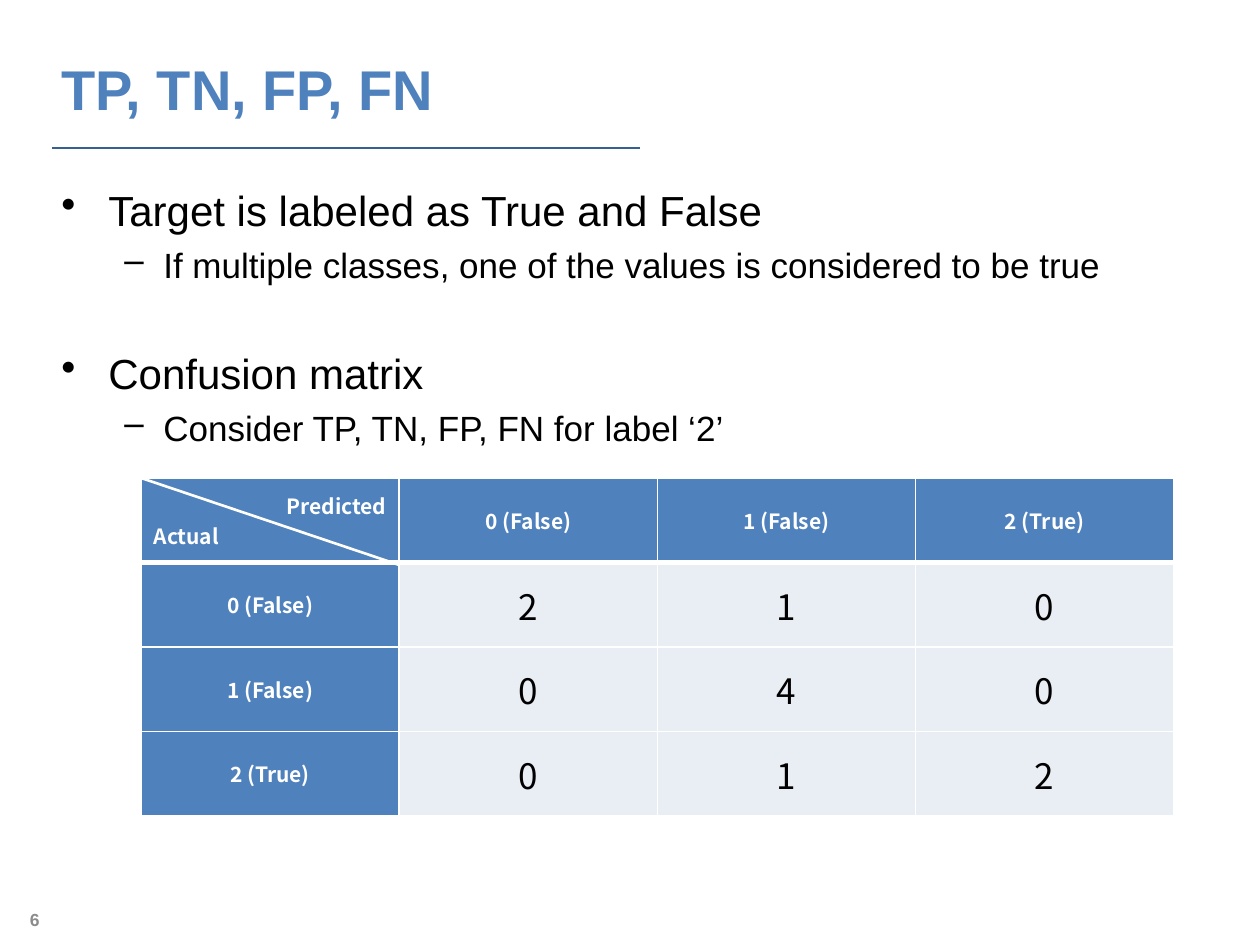
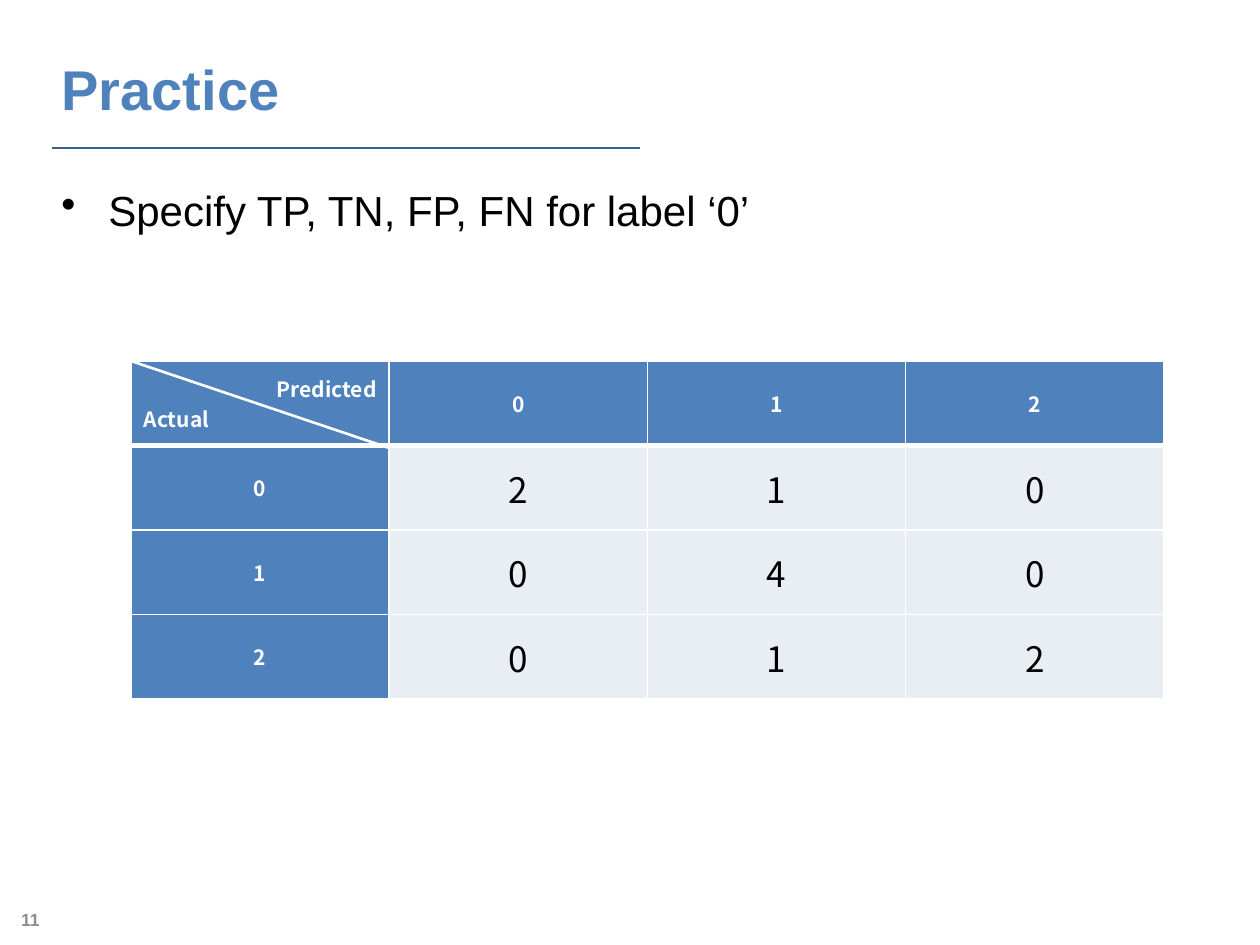
"""Build two slides on confusion matrices, each with bullets and a labelled table."""
import dataclasses
import typing

import lxml.etree
import pptx
import pptx.dml.color
import pptx.enum.shapes
import pptx.enum.text
import pptx.oxml.ns
import pptx.presentation
import pptx.shapes.connector
import pptx.slide
import pptx.table
import pptx.text.text
import pptx.util

EMU_PER_PIXEL = 914400 / 126
COLOURS = {
    "accent": "4F81BD",
    "rule": "376092",
    "band": "E9EDF4",
    "number": "8C8C8C",
    "text": "000000",
    "white": "FFFFFF",
}
ALIGN = pptx.enum.text.PP_ALIGN
MIDDLE = pptx.enum.text.MSO_ANCHOR.MIDDLE
TOP = pptx.enum.text.MSO_ANCHOR.TOP
TABLE_FONT = "Noto Sans CJK KR"


@dataclasses.dataclass(frozen=True)
class TextStyle:
    size: int
    colour: str
    bold: bool = False
    font: str = "Arial"
    align: ALIGN = ALIGN.LEFT


@dataclasses.dataclass(frozen=True)
class Level:
    mark: str
    margin: int
    hanging: int
    style: TextStyle


@dataclasses.dataclass(frozen=True)
class Bullet:
    text: str
    level: int
    before: float


@dataclasses.dataclass(frozen=True)
class Frame:
    left: int
    top: int
    width: int
    height: int


@dataclasses.dataclass(frozen=True)
class MatrixSlide:
    title: str
    number: str
    bullets: tuple[Bullet, ...]
    labels: tuple[str, ...]
    table_left: int
    table_top: int


TITLE = TextStyle(32, "accent", bold=True)
NUMBER = TextStyle(10, "number", bold=True, align=ALIGN.RIGHT)
HEADING = TextStyle(12, "white", bold=True, font=TABLE_FONT, align=ALIGN.CENTER)
VALUE = TextStyle(20, "text", font=TABLE_FONT, align=ALIGN.CENTER)
LEVELS = (
    Level("•", 47, 47, TextStyle(24, "text")),
    Level("–", 102, 39, TextStyle(20, "text")),
)
TITLE_FRAME = Frame(49, 39, 1162, 98)
BODY_FRAME = Frame(49, 178, 1162, 699)
NUMBER_FRAME = Frame(0, 895, 52, 50)
TABLE_SIZE = (1033, 338)
COUNTS = ((2, 1, 0), (0, 4, 0), (0, 1, 2))
SLIDES = (
    MatrixSlide(
        "TP, TN, FP, FN",
        "6",
        (
            Bullet("Target is labeled as True and False", 0, 2),
            Bullet("If multiple classes, one of the values is considered to be true", 1, 5),
            Bullet("Confusion matrix", 0, 35.5),
            Bullet("Consider TP, TN, FP, FN for label ‘2’", 1, 5),
        ),
        ("0 (False)", "1 (False)", "2 (True)"),
        141,
        478,
    ),
    MatrixSlide(
        "Practice",
        "11",
        (Bullet("Specify TP, TN, FP, FN for label ‘0’", 0, 2),),
        ("0", "1", "2"),
        131,
        361,
    ),
)


def emu(pixels: float) -> pptx.util.Emu:
    """Turn pixels into EMU."""
    return pptx.util.Emu(round(pixels * EMU_PER_PIXEL))


def rgb(name: str) -> pptx.dml.color.RGBColor:
    """Look up a named colour."""
    return pptx.dml.color.RGBColor.from_string(COLOURS[name])


def apply(target: typing.Any, values: dict[str, typing.Any]) -> None:
    """Set each named attribute on an object."""
    for name, value in values.items():
        setattr(target, name, value)


def place(frame: Frame) -> dict[str, pptx.util.Emu]:
    """Give a frame's position and size in EMU."""
    return {name: emu(length) for name, length in dataclasses.asdict(frame).items()}


def write(para: pptx.text.text._Paragraph, text: str, style: TextStyle) -> None:
    """Write one styled span into a paragraph."""
    para.alignment = style.align
    span = para.add_run()
    span.text = text
    apply(span.font, {"size": pptx.util.Pt(style.size), "bold": style.bold, "name": style.font})
    span.font.color.rgb = rgb(style.colour)


def add_text_box(page: pptx.slide.Slide, frame: Frame, anchor: typing.Any) -> pptx.text.text.TextFrame:
    """Add a wrapping text box and return its text frame."""
    box = page.shapes.add_textbox(**place(frame))
    apply(box.text_frame, {"word_wrap": True, "vertical_anchor": anchor})
    return box.text_frame


def add_line(
    page: pptx.slide.Slide, start: tuple[int, int], end: tuple[float, float], colour: str, width: float
) -> None:
    """Draw a straight line without a shadow."""
    line = page.shapes.add_connector(
        pptx.enum.shapes.MSO_CONNECTOR.STRAIGHT, *map(emu, start), *map(emu, end)
    )
    line.line.color.rgb = rgb(colour)
    line.line.width = pptx.util.Pt(width)
    lxml.etree.SubElement(line._element.spPr, pptx.oxml.ns.qn("a:effectLst"))


def add_bullets(page: pptx.slide.Slide, bullets: tuple[Bullet, ...]) -> None:
    """Write the bulleted body text."""
    body = add_text_box(page, BODY_FRAME, TOP)
    for index, bullet in enumerate(bullets):
        para = body.add_paragraph() if index else body.paragraphs[0]
        level = LEVELS[bullet.level]
        write(para, bullet.text, level.style)
        apply(para, {"level": bullet.level, "space_before": pptx.util.Pt(bullet.before)})
        properties = para._p.get_or_add_pPr()
        properties.set("marL", str(emu(level.margin)))
        properties.set("indent", str(-emu(level.hanging)))
        mark = lxml.etree.SubElement(properties, pptx.oxml.ns.qn("a:buChar"))
        mark.set("char", level.mark)


def set_borders(cell: pptx.table._Cell, top: float, bottom: float) -> None:
    """Give a cell white borders."""
    properties = cell._tc.get_or_add_tcPr()
    widths = {"a:lnL": 1, "a:lnR": 1, "a:lnT": top, "a:lnB": bottom}
    for index, (tag, width) in enumerate(widths.items()):
        border = lxml.etree.Element(pptx.oxml.ns.qn(tag), w=str(pptx.util.Pt(width)))
        fill = lxml.etree.SubElement(border, pptx.oxml.ns.qn("a:solidFill"))
        lxml.etree.SubElement(fill, pptx.oxml.ns.qn("a:srgbClr"), val=COLOURS["white"])
        properties.insert(index, border)


def add_matrix(page: pptx.slide.Slide, labels: tuple[str, ...], left: int, top: int) -> None:
    """Draw the confusion matrix with its split corner cell."""
    size = len(labels) + 1
    frame = Frame(left, top, *TABLE_SIZE)
    table = page.shapes.add_table(size, size, **place(frame)).table
    for column in table.columns:
        column.width = emu(frame.width / size)
    for row in table.rows:
        row.height = emu(frame.height / size)
    rows = [("", *labels)] + [(label, *counts) for label, counts in zip(labels, COUNTS)]
    for i, entries in enumerate(rows):
        for j, entry in enumerate(entries):
            cell = table.cell(i, j)
            is_heading = i == 0 or j == 0
            cell.vertical_anchor = MIDDLE
            cell.fill.solid()
            cell.fill.fore_color.rgb = rgb("accent" if is_heading else "band")
            set_borders(cell, top=3 if i == 1 else 1, bottom=3 if i == 0 else 1)
            if i or j:
                write(cell.text_frame.paragraphs[0], str(entry), HEADING if is_heading else VALUE)
    corner = table.cell(0, 0).text_frame
    write(corner.paragraphs[0], "Predicted", dataclasses.replace(HEADING, align=ALIGN.RIGHT))
    write(corner.add_paragraph(), "Actual", dataclasses.replace(HEADING, align=ALIGN.LEFT))
    add_line(page, (left, top), (left + frame.width / size, top + 87), "white", 1.5)


def add_slide(deck: pptx.presentation.Presentation, content: MatrixSlide) -> None:
    """Build one slide from its content."""
    page = deck.slides.add_slide(deck.slide_layouts.get_by_name("Title Only"))
    add_line(page, (52, 148), (640, 148), "rule", 0.75)
    title = page.shapes.title
    apply(title, place(TITLE_FRAME))
    apply(title.text_frame, {"word_wrap": True, "vertical_anchor": MIDDLE})
    write(title.text_frame.paragraphs[0], content.title, TITLE)
    add_bullets(page, content.bullets)
    number = add_text_box(page, NUMBER_FRAME, MIDDLE)
    write(number.paragraphs[0], content.number, NUMBER)
    add_matrix(page, content.labels, content.table_left, content.table_top)


def main() -> None:
    """Build and save the deck."""
    deck = pptx.Presentation()
    apply(deck, {"slide_width": emu(1260), "slide_height": emu(945)})
    for content in SLIDES:
        add_slide(deck, content)
    deck.save("out.pptx")


main()
